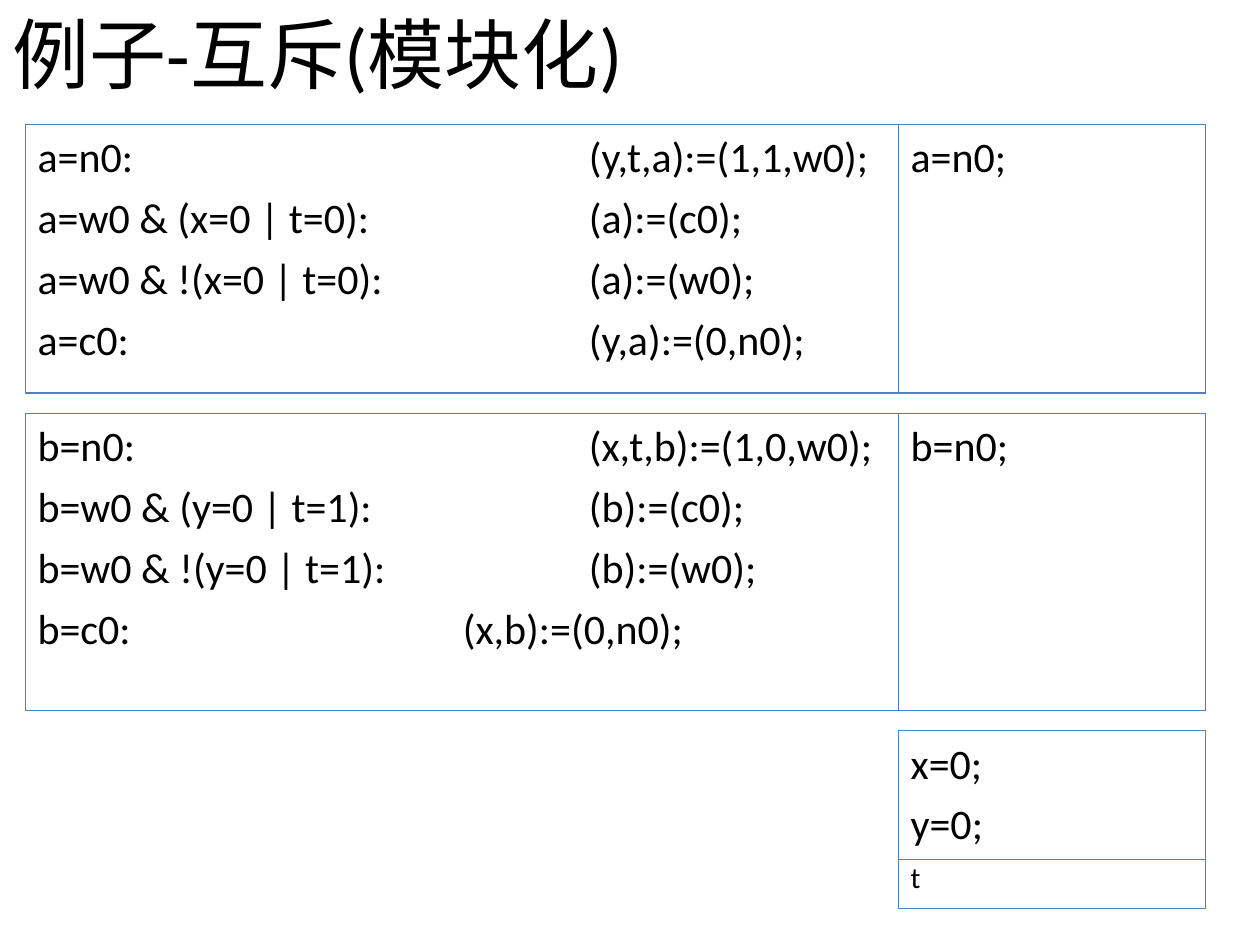
from pptx import Presentation
from pptx.dml.color import RGBColor as Color
from pptx.enum.shapes import MSO_SHAPE as Preset
from pptx.enum.text import MSO_ANCHOR as Anchor, MSO_AUTO_SIZE as AutoSize, PP_ALIGN as Align
from pptx.oxml.ns import qn
from pptx.util import Pt
from lxml.etree import SubElement

TITLE = "例子-互斥(模块化)"
PROCESSES = [
    {
        "height": 153.4,
        "rules": [
            ("a=n0:", "(y,t,a):=(1,1,w0);", 315),
            ("a=w0 & (x=0 | t=0):", "(a):=(c0);", 315),
            ("a=w0 & !(x=0 | t=0):", "(a):=(w0);", 315),
            ("a=c0:", "(y,a):=(0,n0);", 315),
        ],
        "initial": ["a=n0;"],
    },
    {
        "height": 169.9,
        "rules": [
            ("b=n0:", "(x,t,b):=(1,0,w0);", 315),
            ("b=w0 & (y=0 | t=1):", "(b):=(c0);", 315),
            ("b=w0 & !(y=0 | t=1):", "(b):=(w0);", 315),
            ("b=c0:", "(x,b):=(0,n0);", 243),
        ],
        "initial": ["b=n0;"],
    },
]
SHARED = [
    {"height": 73.4, "lines": ["x=0;", "y=0;"], "format": {}},
    {"height": 28.1, "lines": ["t"], "format": {"size": 16.8, "spacing": 0.8}},
]

THEME = {
    "font": "Calibri",
    "text": Color.from_string("000000"),
    "border": Color.from_string("4F81BD"),
    "title": 44,
    "body": 24,
}
LEFT, TOP, WIDTH, GAP = 14.4, 71.3, 674.6, 11.5
STATE_WIDTH = 175.7
STATE_LEFT = LEFT + WIDTH - STATE_WIDTH


def set_values(target, values):
    for name, value in values.items():
        setattr(target, name, value)


def format_font(paragraph, size):
    set_values(paragraph.font, {"name": THEME["font"], "size": Pt(size)})
    paragraph.font.color.rgb = THEME["text"]


def add_tab(paragraph, position):
    tabs = SubElement(paragraph._p.get_or_add_pPr(), qn("a:tabLst"))
    SubElement(tabs, qn("a:tab"), pos=str(Pt(position)), algn="l")


def add_box(slide, left, top, width, height, lines, size=THEME["body"], spacing=None):
    shape = slide.shapes.add_shape(Preset.RECTANGLE, Pt(left), Pt(top), Pt(width), Pt(height))
    shape.shadow.inherit = False
    shape.fill.background()
    shape.line.color.rgb = THEME["border"]
    shape.line.width = Pt(0.75)
    frame = shape.text_frame
    set_values(frame, {"word_wrap": True, "vertical_anchor": Anchor.TOP})
    for index, line in enumerate(lines):
        paragraph = frame.add_paragraph() if index else frame.paragraphs[0]
        if isinstance(line, tuple):
            guard, assignment, position = line
            add_tab(paragraph, position)
            paragraph.text = f"{guard}\t{assignment}"
        else:
            paragraph.text = line
        set_values(paragraph, {
            "alignment": Align.LEFT,
            "space_before": Pt(6 if index else 0),
            "line_spacing": spacing,
        })
        format_font(paragraph, size)


def add_title(slide):
    title = slide.shapes.title
    set_values(title, {"left": Pt(0), "top": Pt(0), "width": Pt(720), "height": Pt(60.5)})
    frame = title.text_frame
    frame.text = TITLE
    set_values(frame, {
        "word_wrap": True,
        "auto_size": AutoSize.NONE,
        "vertical_anchor": Anchor.MIDDLE,
    })
    paragraph = frame.paragraphs[0]
    paragraph.alignment = Align.LEFT
    format_font(paragraph, THEME["title"])


def main():
    presentation = Presentation()
    set_values(presentation, {"slide_width": Pt(720), "slide_height": Pt(540)})
    slide = presentation.slides.add_slide(presentation.slide_layouts[5])
    add_title(slide)
    top = TOP
    for process in PROCESSES:
        height = process["height"]
        add_box(slide, LEFT, top, WIDTH, height, process["rules"])
        add_box(slide, STATE_LEFT, top, STATE_WIDTH, height, process["initial"])
        top += height + GAP
    for box in SHARED:
        add_box(slide, STATE_LEFT, top, STATE_WIDTH, box["height"], box["lines"], **box["format"])
        top += box["height"]
    presentation.save("out.pptx")


if __name__ == "__main__":
    main()
